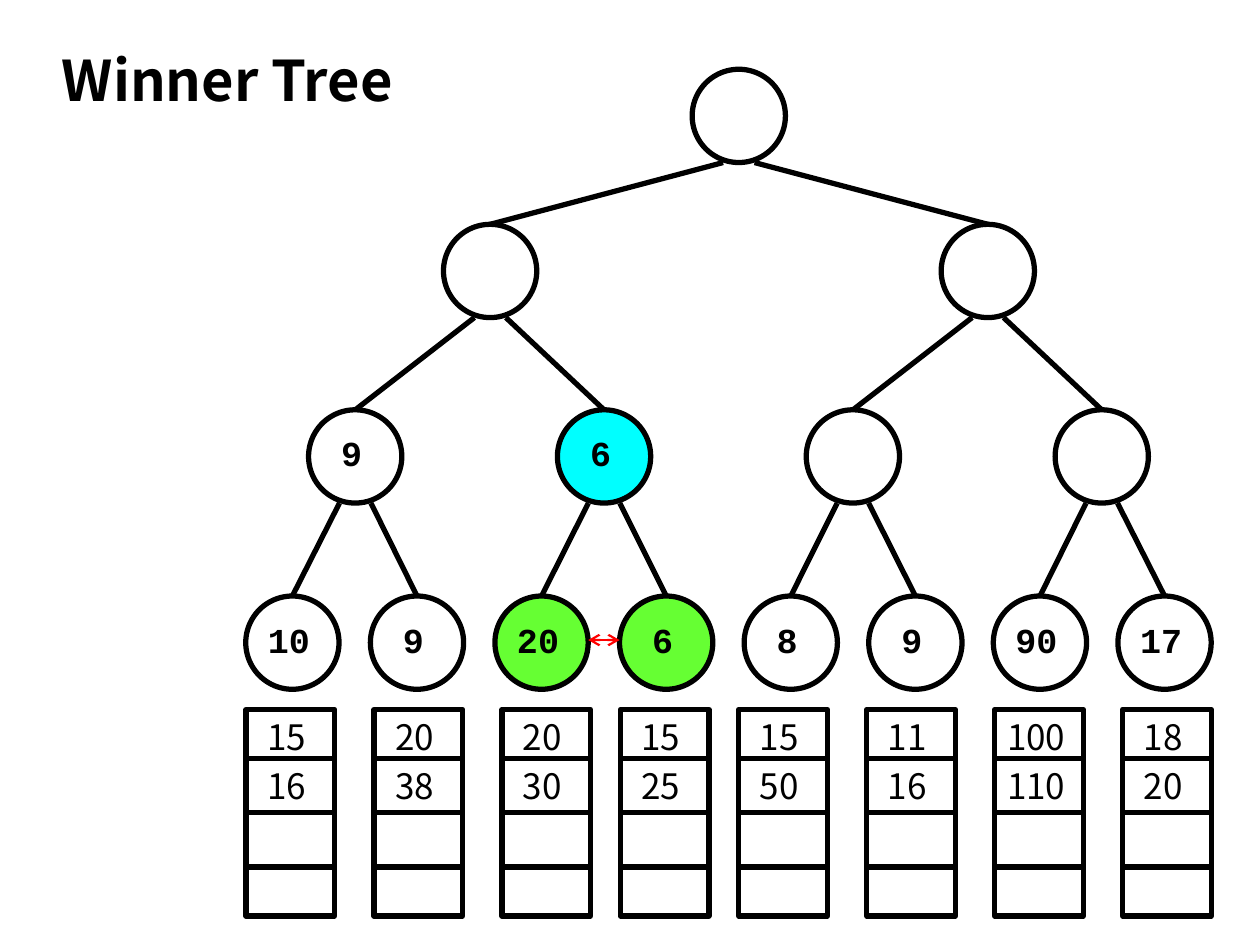
from itertools import accumulate

from lxml import etree
from pptx import Presentation
from pptx.dml.color import RGBColor
from pptx.enum import shapes, text
from pptx.oxml import ns
from pptx.util import Pt

# Content: tree levels from the root down, then the queue below each leaf
TITLE = "Winner Tree"
LEVELS = [
    [""],
    ["", ""],
    ["9", "6", "", ""],
    ["10", "9", "20", "6", "8", "9", "90", "17"],
]
MATCH = (2, 3)  # leaves being compared
HIGHLIGHTS = {(2, 1): "winner", (3, MATCH[0]): "match", (3, MATCH[1]): "match"}
QUEUES = [
    ("15", "16"), ("20", "38"), ("20", "30"), ("15", "25"),
    ("15", "50"), ("11", "16"), ("100", "110"), ("18", "20"),
]

THEME = {
    "ink": RGBColor(0x00, 0x00, 0x00),
    "winner": RGBColor(0x00, 0xFF, 0xFF),
    "match": RGBColor(0x66, 0xFF, 0x33),
    "arrow": RGBColor(0xFF, 0x00, 0x00),
    "sans": "Noto Sans CJK KR",
    "mono": "Courier New",
    "title_size": 32,
    "value_size": 20,
    "line": 3,
    "arrow_line": 1.25,
}

# Geometry in points
NODE = 53.3
LEVEL_TOPS = [39.6, 128.2, 234.2, 340.6]
LEVEL_STARTS = [422.2, 280.1, 203, 167.1]  # centre of the first node
LEVEL_STEPS = [0, 284.4, 142.2, 71.2]
EDGE_SPREAD = 9  # distance of an edge from the parent's centre line
QUEUE_WIDTH = 50.6
QUEUE_LEFTS = list(accumulate([140.6, 73.1, 73.1, 67.7, 67.7, 73.1, 73.1, 73.1]))
ROW_LINES = [405.4, 433.4, 464.4, 495.4, 523.4]
CELL_HEIGHT = 31.7


def write(p, value, font, size, bold=False):
    r = p.add_run()
    r.text = value
    r.font.name = font
    r.font.size = Pt(size)
    r.font.bold = bold
    r.font.color.rgb = THEME["ink"]


def add_outline(s, kind, x, y, w, h, fill=None):
    sp = s.shapes.add_shape(kind, Pt(x), Pt(y), Pt(w), Pt(h))
    sp.shadow.inherit = False
    if fill:
        sp.fill.solid()
        sp.fill.fore_color.rgb = THEME[fill]
    else:
        sp.fill.background()
    sp.line.color.rgb = THEME["ink"]
    sp.line.width = Pt(THEME["line"])
    return sp


def add_line(s, x1, y1, x2, y2, color="ink", width="line"):
    line = s.shapes.add_connector(
        shapes.MSO_CONNECTOR.STRAIGHT, Pt(x1), Pt(y1), Pt(x2), Pt(y2))
    line.line.color.rgb = THEME[color]
    line.line.width = Pt(THEME[width])
    etree.SubElement(line._element.spPr, ns.qn("a:effectLst"))
    return line


def center(level, i):
    return LEVEL_STARTS[level] + i * LEVEL_STEPS[level]


def add_node(s, level, i, value):
    sp = add_outline(s, shapes.MSO_SHAPE.OVAL, center(level, i) - NODE / 2,
                     LEVEL_TOPS[level], NODE, NODE, HIGHLIGHTS.get((level, i)))
    if value:
        tf = sp.text_frame
        tf.word_wrap = False
        tf.vertical_anchor = text.MSO_ANCHOR.MIDDLE
        tf.margin_left = tf.margin_top = 0
        tf.margin_right = tf.margin_bottom = Pt(4)
        p = tf.paragraphs[0]
        p.alignment = text.PP_ALIGN.CENTER
        write(p, value, THEME["mono"], THEME["value_size"], bold=True)


def add_edge(s, level, i):
    side = 1 if i % 2 else -1
    add_line(s, center(level, i), LEVEL_TOPS[level],
             center(level - 1, i // 2) + side * EDGE_SPREAD,
             LEVEL_TOPS[level - 1] + NODE)


def add_queue(s, x, values):
    top, *dividers, bottom = ROW_LINES
    add_outline(s, shapes.MSO_SHAPE.RECTANGLE, x, top, QUEUE_WIDTH, bottom - top)
    for y in dividers:
        add_line(s, x, y, x + QUEUE_WIDTH, y)
    for y, value in zip(ROW_LINES, values):
        inset = 0 if len(value) > 2 else 5
        box = s.shapes.add_textbox(Pt(x + inset), Pt(y),
                                   Pt(QUEUE_WIDTH - 2 * inset), Pt(CELL_HEIGHT))
        tf = box.text_frame
        tf.word_wrap = True
        write(tf.paragraphs[0], value, THEME["sans"], THEME["value_size"])


def main():
    prs = Presentation()
    prs.slide_width, prs.slide_height = Pt(720), Pt(540)
    s = prs.slides.add_slide(prs.slide_layouts[5])

    # Title
    title = s.shapes.title
    title.left, title.top, title.width, title.height = map(Pt, (28.1, 22.3, 242, 46))
    tf = title.text_frame
    tf.auto_size = text.MSO_AUTO_SIZE.NONE
    tf.vertical_anchor = text.MSO_ANCHOR.TOP
    p = tf.paragraphs[0]
    p.alignment = text.PP_ALIGN.LEFT
    write(p, TITLE, THEME["sans"], THEME["title_size"], bold=True)

    # Tree
    for level, values in enumerate(LEVELS):
        for i, value in enumerate(values):
            add_node(s, level, i, value)
            if level:
                add_edge(s, level, i)

    # Queues
    for x, values in zip(QUEUE_LEFTS, QUEUES):
        add_queue(s, x, values)

    # Double arrow between the compared leaves
    y = LEVEL_TOPS[-1] + NODE / 2 - 1.5
    arrow = add_line(s, center(3, MATCH[0]) + NODE / 2, y,
                     center(3, MATCH[1]) - NODE / 2, y, "arrow", "arrow_line")
    ln = arrow.line._get_or_add_ln()
    for end in ("a:headEnd", "a:tailEnd"):
        etree.SubElement(ln, ns.qn(end), type="arrow")

    prs.save("out.pptx")


if __name__ == "__main__":
    main()
